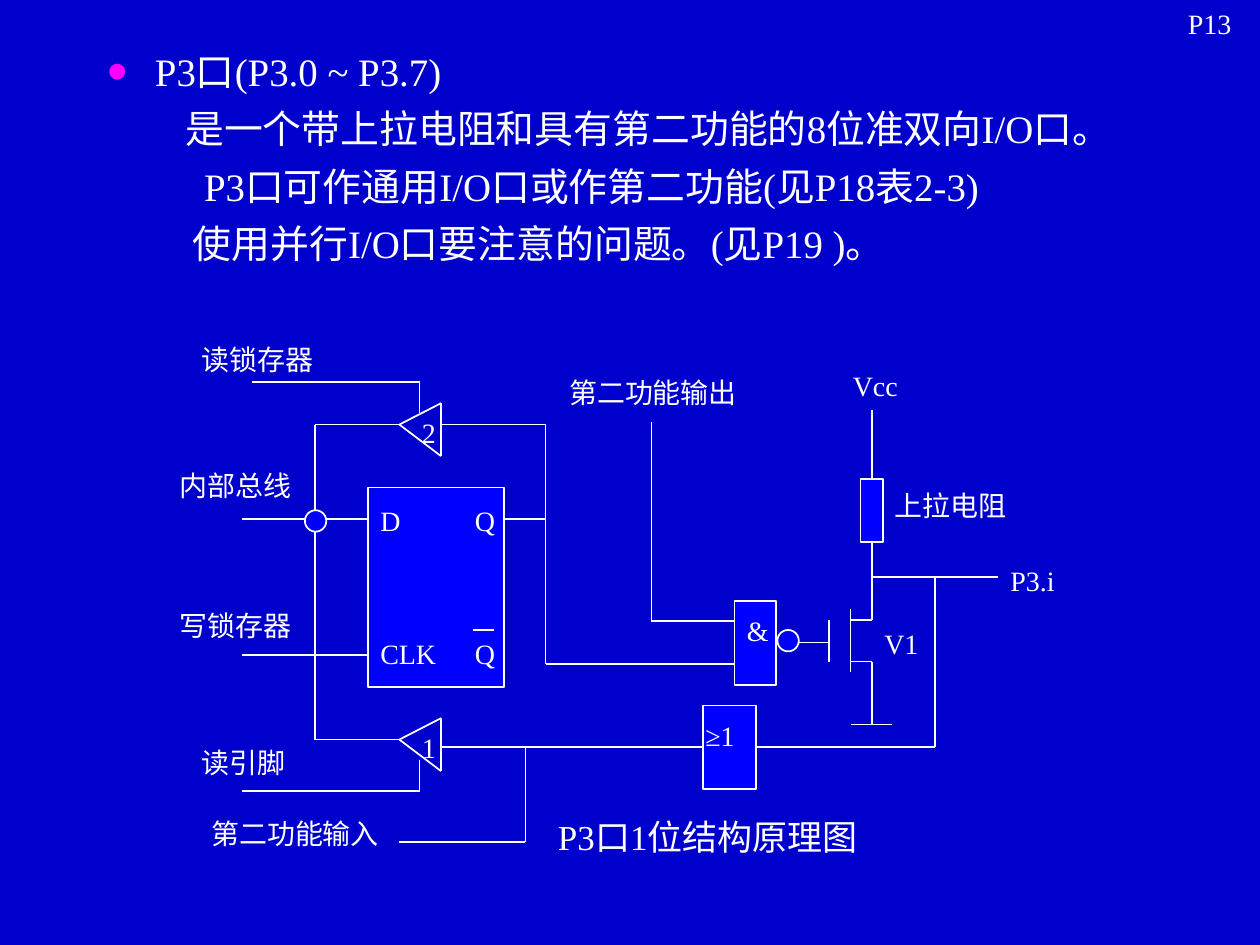
import dataclasses
import itertools

import lxml.etree
import pptx
import pptx.dml.color
import pptx.enum.shapes
import pptx.enum.text
import pptx.oxml.ns
import pptx.util
from pptx.util import Inches

FONT = "Times New Roman"
WHITE, BACKGROUND, PART_FILL, BULLET = "FFFFFF", "0000CC", "0000FF", "FF00FF"
RECTANGLE = pptx.enum.shapes.MSO_SHAPE.RECTANGLE
CIRCLE = pptx.enum.shapes.MSO_SHAPE.OVAL
TOP, LEFT, BOTTOM, RIGHT = range(4)


@dataclasses.dataclass
class Box:
    """Corner of a region, from which its parts are measured in inches."""
    left: float
    top: float

    def at(self, x, y):
        return Inches(self.left + x), Inches(self.top + y)


def colour(hex_value):
    return pptx.dml.color.RGBColor.from_string(hex_value)


def write(para, text, size=16, before=10, ink=WHITE):
    para.space_before = pptx.util.Pt(before)
    span = para.add_run()
    span.text = text
    span.font.name = FONT
    span.font.size = pptx.util.Pt(size)
    span.font.color.rgb = colour(ink)


def add_label(shapes, box, x, y, width, text, height=0.37, **style):
    frame = shapes.add_textbox(*box.at(x, y), Inches(width), Inches(height)).text_frame
    frame.word_wrap = True
    frame.auto_size = pptx.enum.text.MSO_AUTO_SIZE.SHAPE_TO_FIT_TEXT
    write(frame.paragraphs[0], text, **style)


def add_part(shapes, box, kind, x, y, width, height):
    part = shapes.add_shape(kind, *box.at(x, y), Inches(width), Inches(height))
    part.shadow.inherit = False
    part.fill.solid()
    part.fill.fore_color.rgb = colour(PART_FILL)
    part.line.color.rgb = colour(WHITE)
    part.line.width = pptx.util.Pt(1)
    return part


def add_wire(shapes, box, *points):
    """Run straight lines through the points and return the last one."""
    for start, end in itertools.pairwise(points):
        wire = shapes.add_connector(pptx.enum.shapes.MSO_CONNECTOR.STRAIGHT,
                                    *box.at(*start), *box.at(*end))
        wire.line.color.rgb = colour(WHITE)
        wire.line.width = pptx.util.Pt(1)
        lxml.etree.SubElement(wire._element.spPr, pptx.oxml.ns.qn("a:effectLst"))
    return wire


def set_bullet(para, character=None):
    properties = para._p.get_or_add_pPr()

    def add(parent, tag, **attributes):
        return lxml.etree.SubElement(parent, pptx.oxml.ns.qn(tag), attributes)

    if character is None:
        add(properties, "a:buNone")
        return
    add(add(properties, "a:buClr"), "a:srgbClr", val=BULLET)
    add(properties, "a:buSzPct", val="150000")
    add(properties, "a:buChar", char=character)


def fill_body(body, box, width, height):
    body.left, body.top = box.at(0, 0)
    body.width, body.height = Inches(width), Inches(height)
    frame = body.text_frame
    frame.auto_size = pptx.enum.text.MSO_AUTO_SIZE.NONE
    frame.vertical_anchor = pptx.enum.text.MSO_ANCHOR.TOP
    lines = [
        ("P3口(P3.0 ~ P3.7)", 0.38, -0.38, "•"),
        ("是一个带上拉电阻和具有第二功能的8位准双向I/O口。", 0.62, 0, None),
        ("P3口可作通用I/O口或作第二功能(见P18表2-3)", 0.77, 0, None),
        ("使用并行I/O口要注意的问题。(见P19 )。", 0.68, 0, None),
    ]
    for number, (text, margin, indent, bullet) in enumerate(lines):
        para = frame.add_paragraph() if number else frame.paragraphs[0]
        write(para, text, size=22.2, before=6)
        properties = para._p.get_or_add_pPr()
        properties.set("marL", str(Inches(margin)))
        properties.set("indent", str(Inches(indent)))
        set_bullet(para, bullet)


def draw_latch(shapes, box):
    add_part(shapes, box, RECTANGLE, 0, 0, 1.08, 1.58)
    for x, y, width, text in [(0, 0.08, 0.42, "D"), (0.75, 0.08, 0.42, "Q"),
                              (0, 1.13, 0.67, "CLK"), (0.75, 1.13, 0.5, "Q")]:
        add_label(shapes, box, x, y, width, text)
    add_wire(shapes, box, (0.83, 1.13), (1, 1.13))


def draw_buffer(shapes, box, number):
    tip, upper, lower = (0, 0.17), (0.33, 0), (0.33, 0.42)
    add_wire(shapes, box, lower, upper, tip, lower)
    add_label(shapes, box, 0.08, 0.05, 0.5, number)


def draw_bus_side(shapes, box):
    add_wire(shapes, box, (1.59, 1.45), (0.59, 1.45))
    add_wire(shapes, box, (1.59, 2.53), (0.59, 2.53))
    add_wire(shapes, box, (1.84, 0.7), (1.17, 0.7), (1.17, 3.2), (1.84, 3.2))
    add_wire(shapes, box, (2, 0.61), (2, 0.36), (0.67, 0.36))
    add_wire(shapes, box, (2, 3.36), (2, 3.61), (0.59, 3.61))
    for x, y, width, text in [(0.17, 0, 1.25, "读锁存器"), (0, 1, 1.17, "内部总线"),
                              (0, 2.11, 1.17, "写锁存器"), (0.17, 3.2, 1, "读引脚")]:
        add_label(shapes, box, x, y, width, text)
    add_part(shapes, box, CIRCLE, 1.09, 1.38, 0.17, 0.17)


def draw_output_stage(shapes, box):
    """Transistor, pull-up resistor and output pin."""
    add_wire(shapes, box, (0, 2.04), (0, 2.37))
    add_wire(shapes, box, (0, 2.22), (-0.41, 2.22))
    add_wire(shapes, box, (0.17, 1.95), (0.17, 2.45))
    add_wire(shapes, box, (0.17, 2.37), (0.34, 2.37), (0.34, 2.87))
    add_wire(shapes, box, (0.17, 2.87), (0.5, 2.87))
    add_wire(shapes, box, (0.34, 1.7), (1.34, 1.7))
    add_wire(shapes, box, (0.84, 3.05), (0.84, 1.7))
    resistor = add_part(shapes, box, RECTANGLE, 0.25, 0.92, 0.18, 0.5)
    drain = add_wire(shapes, box, (0.17, 2.04), (0.34, 2.04), (0.34, 1.42))
    drain.end_connect(resistor, BOTTOM)
    supply = add_wire(shapes, box, (0.34, 0.37), (0.34, 0.92))
    supply.end_connect(resistor, TOP)
    for x, y, width, text in [(0.09, 0, 0.75, "Vcc"), (0.42, 0.95, 1.17, "上拉电阻"),
                              (1.34, 1.54, 0.58, "P3.i"), (0.34, 2.04, 0.58, "V1")]:
        add_label(shapes, box, x, y, width, text)


def draw_nand_gate(shapes, box):
    add_wire(shapes, box, (0, 0.44), (0.83, 0.44), (0.83, 2.34), (2.33, 2.34))
    add_wire(shapes, box, (0.5, 1.19), (0.83, 1.19))
    add_wire(shapes, box, (1.67, 0.42), (1.67, 2), (2.33, 2))
    add_part(shapes, box, RECTANGLE, 2.33, 1.84, 0.33, 0.67)
    add_part(shapes, box, CIRCLE, 2.67, 2.07, 0.17, 0.17)
    add_label(shapes, box, 2.33, 1.89, 0.5, "&")
    add_label(shapes, box, 0.92, 0, 1.67, "第二功能输出")


def draw_input_path(shapes, box):
    gate = add_part(shapes, box, RECTANGLE, 4, 0, 0.42, 0.66)
    add_wire(shapes, box, (1.92, 0.33), (4, 0.33)).end_connect(gate, LEFT)
    add_wire(shapes, box, (5.84, 0.33), (4.42, 0.33)).end_connect(gate, RIGHT)
    add_wire(shapes, box, (2.59, 0.33), (2.59, 1.08), (1.59, 1.08))
    add_label(shapes, box, 3.92, 0.05, 0.67, "≥1")
    add_label(shapes, box, 0, 0.83, 1.67, "第二功能输入")


def build_port_page(deck):
    page = deck.slides.add_slide(deck.slide_layouts[1])
    page.background.fill.solid()
    page.background.fill.fore_color.rgb = colour(BACKGROUND)
    title = page.shapes.title
    title._element.getparent().remove(title._element)
    fill_body(page.placeholders[1], Box(0.75, 0.33), 8.75, 2.17)
    add_label(page.shapes, Box(9.33, 0), 0, 0, 0.67, "P13")

    shapes = page.shapes.add_group_shape().shapes
    add_label(shapes, Box(4.33, 6.42), 0, 0, 2.58, "P3口1位结构原理图",
              height=0.77, size=20, before=12.5)
    draw_latch(shapes, Box(2.92, 3.87))
    draw_buffer(shapes, Box(3.17, 5.7), "1")
    draw_buffer(shapes, Box(3.17, 3.2), "2")
    draw_bus_side(shapes, Box(1.33, 2.67))
    draw_output_stage(shapes, Box(6.58, 2.88))
    draw_nand_gate(shapes, Box(3.5, 2.93))
    draw_input_path(shapes, Box(1.58, 5.6))


def main():
    deck = pptx.Presentation()
    deck.slide_width, deck.slide_height = Inches(10), Inches(7.5)
    build_port_page(deck)
    deck.save("out.pptx")


if __name__ == "__main__":
    main()
